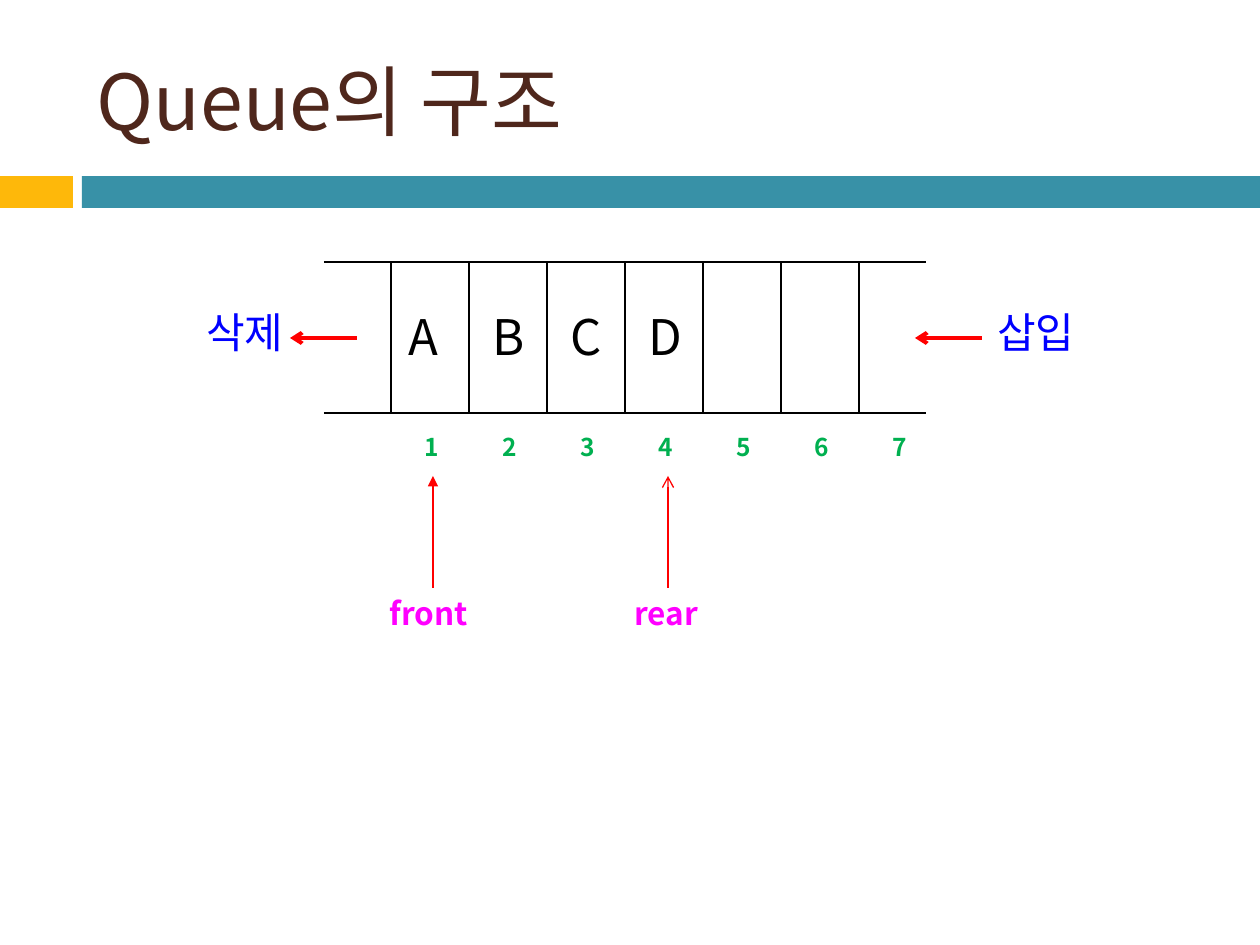
"""Build a slide that shows the structure of a queue."""
from lxml.etree import SubElement
from pptx import Presentation
from pptx.dml.color import RGBColor
from pptx.enum.shapes import MSO_CONNECTOR as Connector, MSO_SHAPE as Shape
from pptx.enum.text import MSO_ANCHOR as Anchor, MSO_AUTO_SIZE as AutoSize, PP_ALIGN as Align
from pptx.oxml.ns import qn
from pptx.util import Emu, Pt

PX = 914400 / 126
FONT = "Noto Sans CJK KR"
COLORS = {
    "gold": "FEB80A", "teal": "3891A7", "brown": "4F271C", "black": "000000",
    "red": "FF0000", "blue": "0000FF", "green": "00B050", "magenta": "FF00FF",
}


def write_text(shape, text, size, color, bold=False, align=Align.LEFT, wrap=True):
    frame = shape.text_frame
    frame.word_wrap = wrap
    frame.auto_size = AutoSize.NONE if shape.is_placeholder else AutoSize.SHAPE_TO_FIT_TEXT
    paragraph = frame.paragraphs[0]
    paragraph.alignment = align
    run = paragraph.add_run()
    run.text = text
    run.font.size = Pt(size)
    run.font.bold = bold
    run.font.color.rgb = RGBColor.from_string(COLORS[color])
    run.font.name = FONT
    SubElement(run.font._element, qn("a:ea"), typeface=FONT)


def draw_line(x1, y1, x2, y2, color="black", width=0.75, arrow=None):
    ends = [Emu(round(value * PX)) for value in (x1, y1, x2, y2)]
    line = slide.shapes.add_connector(Connector.STRAIGHT, *ends)
    line.line.color.rgb = RGBColor.from_string(COLORS[color])
    line.line.width = Pt(width)
    if arrow:
        SubElement(line.line._get_or_add_ln(), qn("a:tailEnd"), type=arrow)
    SubElement(line._element.spPr, qn("a:effectLst"))


presentation = Presentation()
presentation.slide_width = Emu(round(1260 * PX))
presentation.slide_height = Emu(round(945 * PX))
slide = presentation.slides.add_slide(presentation.slide_layouts[5])

for left, width, color in [(0, 73, "gold"), (82, 1178, "teal")]:
    box = [Emu(round(value * PX)) for value in (left, 176, width, 32)]
    band = slide.shapes.add_shape(Shape.RECTANGLE, *box)
    band.shadow.inherit = False
    band.fill.solid()
    band.fill.fore_color.rgb = RGBColor.from_string(COLORS[color])
    band.line.fill.background()

title = slide.shapes.title
title.left, title.top, title.width, title.height = [
    Emu(round(value * PX)) for value in (84, 32, 1124, 136)
]
title.text_frame.vertical_anchor = Anchor.MIDDLE
write_text(title, "Queue의 구조", 44, "brown")

queue_top, queue_bottom = 262, 413
first_cell, cell_width, cell_count = 391, 78, 7
for y in (queue_top, queue_bottom):
    draw_line(324, y, 926, y)
for cell in range(cell_count):
    x = first_cell + cell * cell_width
    draw_line(x, queue_top, x, queue_bottom)

letters = [
    (letter, left, 300, 62, 72, 28, "black", False, Align.LEFT, True)
    for letter, left in zip("ABCD", (396, 480, 558, 636))
]
operations = [
    (text, left, 300, 132, 63, 24, "blue", False, Align.CENTER, True)
    for text, left in [("삽입", 970), ("삭제", 179)]
]
indexes = [
    (str(cell + 1), 412 + cell * cell_width, 426, 39, 43, 14, "green", True, Align.LEFT, False)
    for cell in range(cell_count)
]
pointers = [
    (text, left, 588, width, 50, 18, "magenta", True, Align.LEFT, False)
    for text, left, width in [("front", 377, 115), ("rear", 622, 100)]
]
for text, left, top, width, height, *style in letters + operations + indexes + pointers:
    box = [Emu(round(value * PX)) for value in (left, top, width, height)]
    write_text(slide.shapes.add_textbox(*box), text, *style)

for start, end in [(982, 915), (357, 290)]:
    draw_line(start, 338, end, 338, "red", 2.25, "arrow")
for x, arrow in [(433, "triangle"), (668, "arrow")]:
    draw_line(x, 588, x, 476, "red", 0.75, arrow)

presentation.save("out.pptx")
